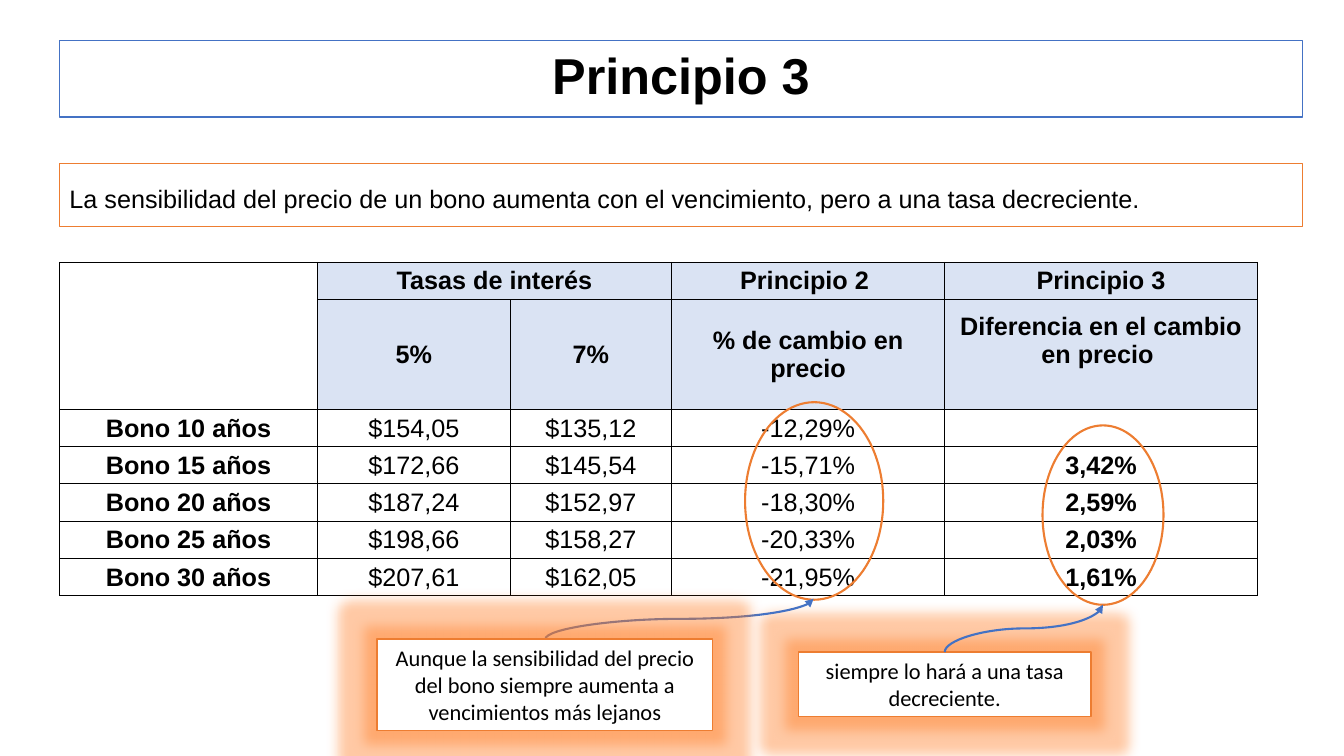
from lxml.etree import Element, SubElement
from pptx import Presentation
from pptx.dml.color import RGBColor
from pptx.enum.shapes import MSO_CONNECTOR, MSO_SHAPE
from pptx.enum.text import MSO_ANCHOR, MSO_AUTO_SIZE, PP_ALIGN
from pptx.oxml.ns import qn
from pptx.util import Inches, Pt

BLACK, WHITE, BLUE, ORANGE, PALE = "000000", "FFFFFF", "4472C4", "ED7D31", "DAE3F3"


def color(code):
    return RGBColor.from_string(code)


class Deck:
    def __init__(self, width, height):
        self.show = Presentation()
        self.show.slide_width = Inches(width)
        self.show.slide_height = Inches(height)
        self.slide = self.show.slides.add_slide(self.show.slide_layouts[5])

    def paint(self, shape, fill, line, width):
        if fill:
            shape.fill.solid()
            shape.fill.fore_color.rgb = color(fill)
        else:
            shape.fill.background()
        shape.line.color.rgb = color(line)
        shape.line.width = Pt(width)

    def label(self, frame, text, size, font="Arial", bold=False, align=PP_ALIGN.CENTER):
        frame.text = text
        para = frame.paragraphs[0]
        para.alignment = align
        para.font.size = Pt(size)
        para.font.name = font
        para.font.bold = bold
        para.font.color.rgb = color(BLACK)
        return para

    def title(self, text, box):
        shape = self.slide.shapes.title
        shape.left, shape.top, shape.width, shape.height = map(Inches, box)
        self.paint(shape, WHITE, BLUE, 1)
        para = self.label(shape.text_frame, text, 36, bold=True)
        para.line_spacing = 0.9
        shape.text_frame.auto_size = MSO_AUTO_SIZE.NONE
        shape.text_frame.vertical_anchor = MSO_ANCHOR.MIDDLE

    def shape(self, kind, box, fill=None, width=1.0):
        shape = self.slide.shapes.add_shape(kind, *map(Inches, box))
        shape.shadow.inherit = False
        self.paint(shape, fill, ORANGE, width)
        return shape

    def lead(self, text, box):
        frame = self.shape(MSO_SHAPE.RECTANGLE, box, WHITE).text_frame
        frame.vertical_anchor = MSO_ANCHOR.TOP
        para = self.label(frame, text, 18, align=PP_ALIGN.JUSTIFY)
        para.line_spacing = 1.5
        para.space_before = Pt(3.6)

    def note(self, text, box):
        shape = self.shape(MSO_SHAPE.RECTANGLE, box, WHITE)
        frame = shape.text_frame
        frame.vertical_anchor = MSO_ANCHOR.TOP
        frame.auto_size = MSO_AUTO_SIZE.SHAPE_TO_FIT_TEXT
        self.label(frame, text, 16, "Calibri")
        effects = shape.element.spPr.find(qn("a:effectLst"))
        glow = SubElement(effects, qn("a:glow"), rad=str(Pt(18)))
        tint = SubElement(glow, qn("a:srgbClr"), val=ORANGE)
        SubElement(tint, qn("a:satMod"), val="175000")
        SubElement(tint, qn("a:alpha"), val="40000")

    def oval(self, box):
        self.shape(MSO_SHAPE.OVAL, box, width=1.5)

    def curve(self, start, end):
        (left, low), (right, high) = start, end
        wide, tall = right - left, low - high
        link = self.slide.shapes.add_connector(
            MSO_CONNECTOR.CURVE, *map(Inches, start + end))
        link.left = Inches((left + right - tall) / 2)
        link.top = Inches((low + high - wide) / 2)
        link.width, link.height = Inches(tall), Inches(wide)
        props = link.element.spPr
        frame = props.find(qn("a:xfrm"))
        for key, value in (("rot", "5400000"), ("flipH", "1"), ("flipV", "1")):
            frame.set(key, value)
        link.line.color.rgb = color(BLUE)
        link.line.width = Pt(1.5)
        SubElement(props.find(qn("a:ln")), qn("a:tailEnd"), type="triangle")
        SubElement(props, qn("a:effectLst"))

    def border(self, cell):
        props = cell._tc.get_or_add_tcPr()
        for spot, side in enumerate(("lnL", "lnR", "lnT", "lnB")):
            line = Element(qn("a:" + side), w=str(Pt(0.5)))
            fill = SubElement(line, qn("a:solidFill"))
            SubElement(fill, qn("a:srgbClr"), val=BLACK)
            props.insert(spot, line)

    def table(self, rows, spot, widths, heights):
        size = sum(widths), sum(heights)
        table = self.slide.shapes.add_table(
            len(rows), len(widths), *map(Inches, spot + size)).table
        for column, width in zip(table.columns, widths):
            column.width = Inches(width)
        for row, height in zip(table.rows, heights):
            row.height = Inches(height)
        for i, row in enumerate(rows):
            for j, text in enumerate(row):
                cell = table.cell(i, j)
                cell.margin_left = cell.margin_right = cell.margin_top = Inches(0.01)
                cell.margin_bottom = 0
                cell.vertical_anchor = MSO_ANCHOR.MIDDLE
                cell.fill.solid()
                cell.fill.fore_color.rgb = color(PALE if i < 2 and j else WHITE)
                self.label(cell.text_frame, text, 18, bold=i < 2 or j in (0, 4))
                self.border(cell)
        table.cell(0, 0).merge(table.cell(1, 0))
        table.cell(0, 1).merge(table.cell(0, 2))
        return table


deck = Deck(13.33, 7.5)
deck.title("Principio 3", (0.59, 0.4, 12.33, 0.76))
deck.lead("La sensibilidad del precio de un bono aumenta con el vencimiento, "
          "pero a una tasa decreciente.", (0.59, 1.62, 12.33, 0.63))

rows = [
    ("", "Tasas de interés", "", "Principio 2\u00a0", "Principio 3"),
    ("", "5%", "7%", "% de cambio en precio", "Diferencia en el cambio en precio "),
    ("Bono 10 años", "$154,05", "$135,12", "-12,29%", ""),
    ("Bono 15 años", "$172,66", "$145,54", "-15,71%", "3,42%"),
    ("Bono 20 años", "$187,24", "$152,97", "-18,30%", "2,59%"),
    ("Bono 25 años", "$198,66", "$158,27", "-20,33%", "2,03%"),
    ("Bono 30 años", "$207,61", "$162,05", "-21,95%", "1,61%"),
]
bonds = deck.table(rows, (0.59, 2.6), (2.56, 1.91, 1.6, 2.71, 3.1),
                   (0.37, 1.09) + (0.37,) * 5)
bonds.cell(1, 4).margin_bottom = Inches(0.28)

deck.note("siempre lo hará a una tasa decreciente.", (7.92, 6.47, 2.9, 0.64))
deck.oval((7.39, 3.99, 1.37, 1.96))
deck.curve((5.41, 6.34), (8.07, 5.94))
deck.note("Aunque la sensibilidad del precio del bono siempre aumenta a "
          "vencimientos más lejanos", (3.74, 6.34, 3.33, 0.91))
deck.oval((10.34, 4.22, 1.2, 1.78))
deck.curve((9.37, 6.47), (10.94, 6))
deck.show.save("out.pptx")
